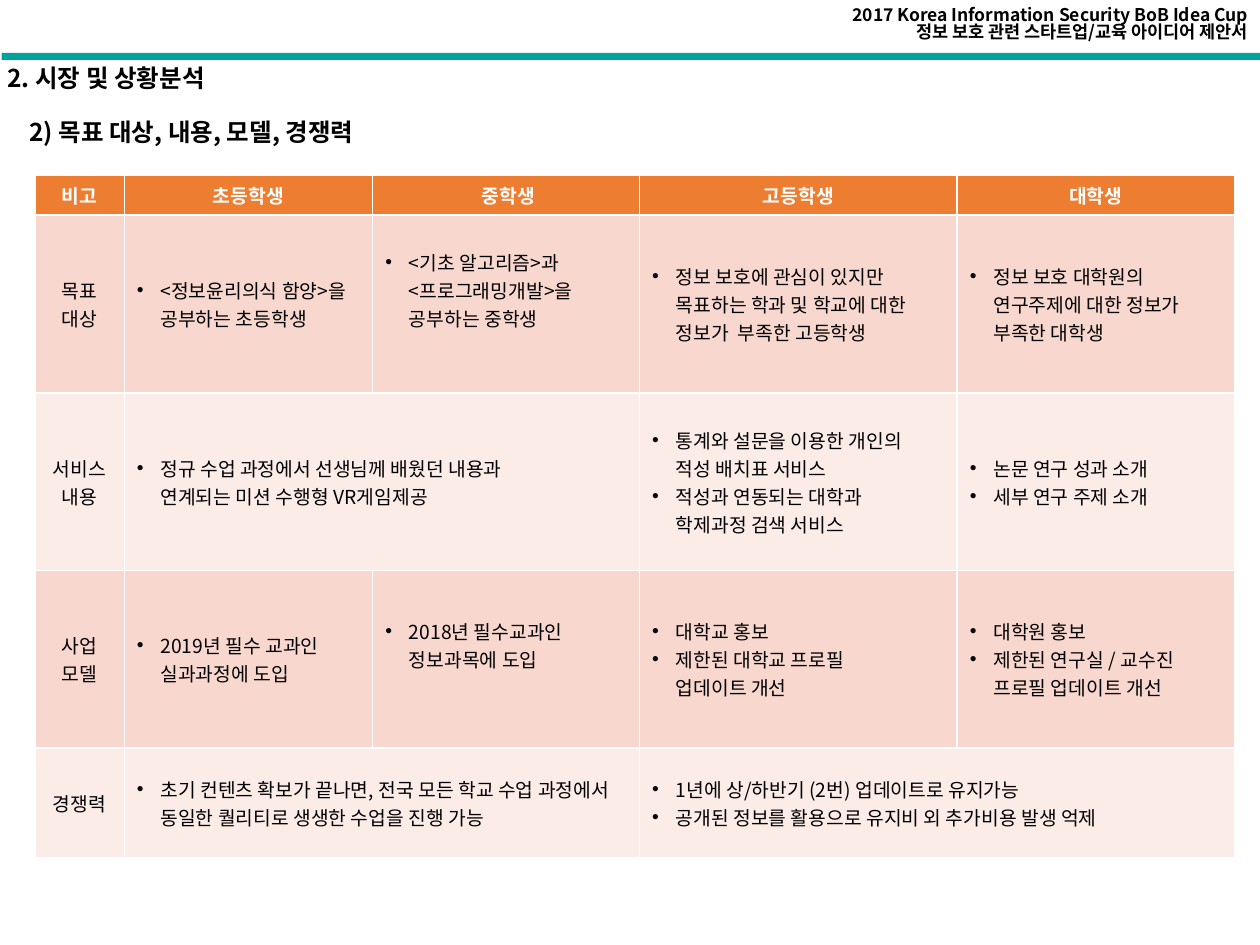
from lxml.etree import SubElement
from pptx import Presentation
from pptx.dml.color import RGBColor
from pptx.enum.shapes import MSO_SHAPE
from pptx.enum.text import MSO_ANCHOR, MSO_AUTO_SIZE, PP_ALIGN
from pptx.oxml.ns import qn
from pptx.util import Pt

LEFT, MID, RIGHT = PP_ALIGN.LEFT, PP_ALIGN.CENTER, PP_ALIGN.RIGHT
TOP, CENTER = MSO_ANCHOR.TOP, MSO_ANCHOR.MIDDLE
FIXED = MSO_AUTO_SIZE.NONE
RECT = MSO_SHAPE.RECTANGLE
FONT = "Noto Sans CJK KR"
TEAL, ORANGE, BLACK, WHITE = "00A29E", "ED7D31", "000000", "FFFFFF"
BANDS = ["F8D7CE", "FCECE8"]
TIGHT = 0.83
INDENT = 13.5

COLS = [51, 142, 152.5, 181.5, 158.5]
ROWS = [23, 101.5, 101.5, 101.5, 62.5]
HEADS = ["비고", "초등학생", " 중학생", "고등학생", "대학생"]
BODY = [
    [["목표", "대상"],
     ["<정보윤리의식 함양>을 공부하는 초등학생"],
     ["<기초 알고리즘>과 \n<프로그래밍개발>을 \n공부하는 중학생"],
     ["정보 보호에 관심이 있지만 \n목표하는 학과 및 학교에 대한 정보가  부족한 고등학생"],
     ["정보 보호 대학원의 \n연구주제에 대한 정보가 부족한 대학생"]],
    [["서비스", "내용"],
     ["정규 수업 과정에서 선생님께 배웠던 내용과 \n연계되는 미션 수행형 VR게임제공"],
     None,
     ["통계와 설문을 이용한 개인의 \n적성 배치표 서비스", "적성과 연동되는 대학과 \n학제과정 검색 서비스"],
     ["논문 연구 성과 소개", "세부 연구 주제 소개"]],
    [["사업", "모델"],
     ["2019년 필수 교과인 \n실과과정에 도입"],
     ["2018년 필수교과인 \n정보과목에 도입"],
     ["대학교 홍보", "제한된 대학교 프로필 \n업데이트 개선"],
     ["대학원 홍보", "제한된 연구실 / 교수진\n프로필 업데이트 개선"]],
    [["경쟁력"],
     ["초기 컨텐츠 확보가 끝나면, 전국 모든 학교 수업 과정에서 동일한 퀄리티로 생생한 수업을 진행 가능"],
     None,
     ["1년에 상/하반기 (2번) 업데이트로 유지가능", "공개된 정보를 활용으로 유지비 외 추가비용 발생 억제"],
     None],
]


def paint(fill, color):
    """Fill with one solid hex colour."""
    fill.solid()
    fill.fore_color.rgb = RGBColor.from_string(color)


def mark(para, dot):
    """Give a paragraph a hanging bullet, or none at all."""
    props = para._p.get_or_add_pPr()
    gap = Pt(INDENT) if dot else 0
    props.set("marL", str(gap))
    props.set("indent", str(-gap))
    if dot:
        SubElement(props, qn("a:buFont")).set("typeface", "Arial")
        SubElement(props, qn("a:buChar")).set("char", "•")
    else:
        SubElement(props, qn("a:buNone"))


def write(frame, lines, size=11, color=BLACK, bold=False, align=LEFT, dot=False, space=None):
    """Write one paragraph per line in a text frame."""
    frame.word_wrap = True
    for i, line in enumerate(lines):
        para = frame.add_paragraph() if i else frame.paragraphs[0]
        para.text = line
        mark(para, dot)
        para.alignment = align
        para.space_before = Pt(0)
        para.line_spacing = space
        for run in para.runs:
            run.font.size = Pt(size)
            run.font.bold = bold
            run.font.name = FONT
            paint(run.font.fill, color)
            SubElement(run._r.get_or_add_rPr(), qn("a:ea")).set("typeface", FONT)


def head(shape, text, left, top, width, height):
    """Move a placeholder and write a heading in it."""
    shape.left, shape.top = Pt(left), Pt(top)
    shape.width, shape.height = Pt(width), Pt(height)
    frame = shape.text_frame
    frame.auto_size = FIXED
    frame.vertical_anchor = TOP
    write(frame, [text], size=14, bold=True, space=TIGHT)


def banner(slide):
    """Add the event name and the teal rule below it."""
    box = slide.shapes.add_textbox(Pt(473), Pt(0.5), Pt(247), Pt(32))
    lines = ["2017 Korea Information Security BoB Idea Cup", "정보 보호 관련 스타트업/교육 아이디어 제안서"]
    write(box.text_frame, lines, size=10, bold=True, align=RIGHT, space=TIGHT)
    bar = slide.shapes.add_shape(RECT, Pt(1), Pt(30.25), Pt(719), Pt(4))
    bar.shadow.inherit = False
    paint(bar.fill, TEAL)
    bar.line.fill.background()


def grid(slide):
    """Add the table of audiences."""
    frame = slide.shapes.add_table(len(ROWS), len(COLS), Pt(20), Pt(100), Pt(sum(COLS)), Pt(sum(ROWS)))
    table = frame.table
    for col, width in zip(table.columns, COLS):
        col.width = Pt(width)
    for row, height in zip(table.rows, ROWS):
        row.height = Pt(height)
    for c, name in enumerate(HEADS):
        cell = table.cell(0, c)
        paint(cell.fill, ORANGE)
        write(cell.text_frame, [name], color=WHITE, bold=True, align=MID)
    for r, row in enumerate(BODY, 1):
        for c, lines in enumerate(row):
            cell = table.cell(r, c)
            paint(cell.fill, BANDS[(r - 1) % 2])
            if lines is None:
                table.cell(r, c - 1).merge(cell)
                continue
            cell.vertical_anchor = CENTER
            write(cell.text_frame, lines, align=LEFT if c else MID, dot=c > 0)
            if c == 2:
                cell.margin_bottom = Pt(19.5)


def main():
    """Build the slide and save it."""
    deck = Presentation()
    deck.slide_width, deck.slide_height = Pt(720), Pt(540)
    slide = deck.slides.add_slide(deck.slide_layouts[1])
    banner(slide)
    title, body = slide.placeholders
    head(title, "2. 시장 및 상황분석", -3, 35.5, 148, 24.5)
    head(body, "2) 목표 대상, 내용, 모델, 경쟁력", 9.5, 66, 710.5, 41)
    grid(slide)
    deck.save("out.pptx")


if __name__ == "__main__":
    main()
